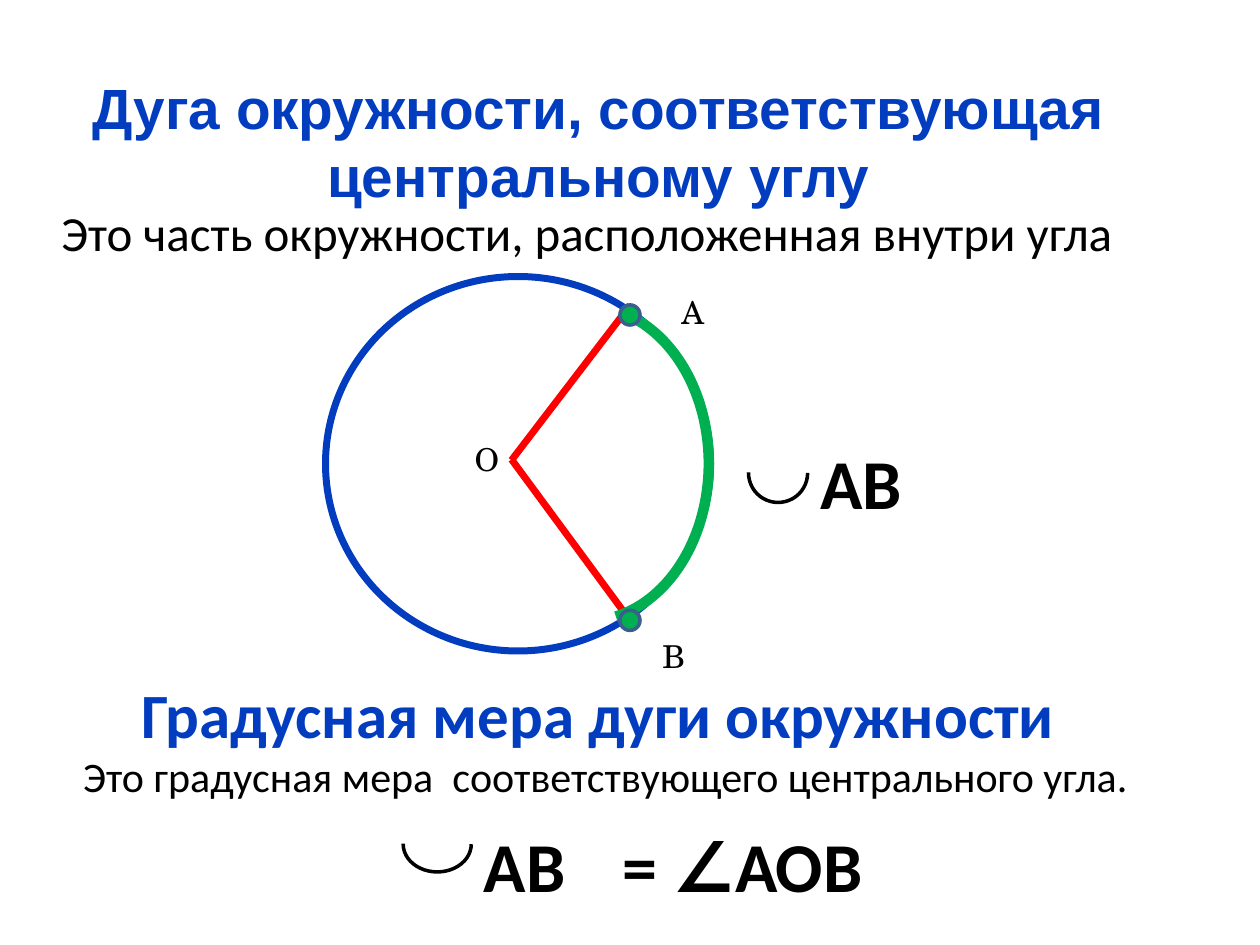
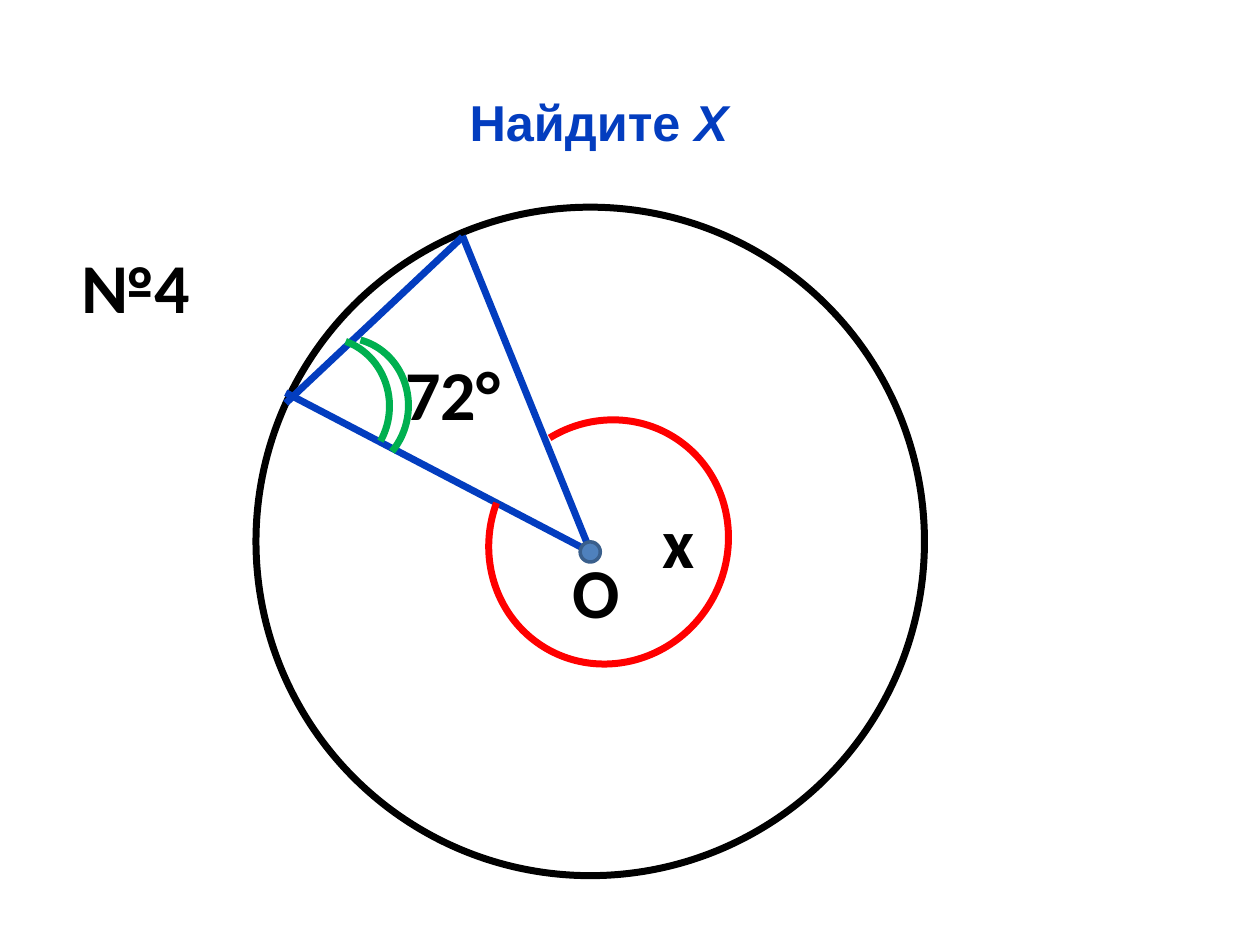
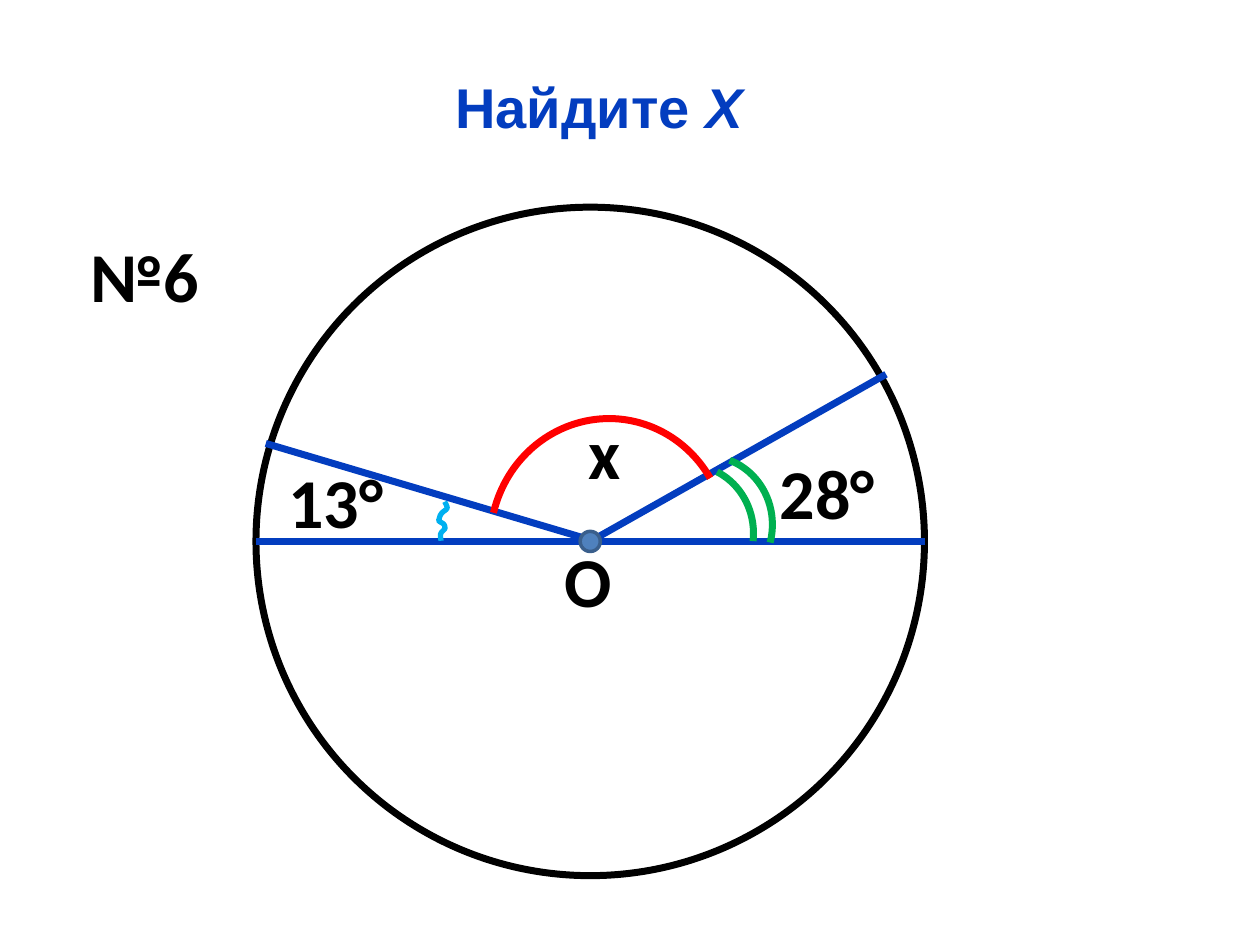
from lxml import etree
from pptx import Presentation
from pptx.dml.color import RGBColor
from pptx.enum.shapes import MSO_CONNECTOR, MSO_SHAPE
from pptx.enum.text import MSO_ANCHOR, PP_ALIGN
from pptx.oxml.ns import qn
from pptx.util import Pt

LINE = MSO_CONNECTOR.STRAIGHT
ARC, OVAL = MSO_SHAPE.ARC, MSO_SHAPE.OVAL
LEFT, CENTER = PP_ALIGN.LEFT, PP_ALIGN.CENTER
TOP, MIDDLE = MSO_ANCHOR.TOP, MSO_ANCHOR.MIDDLE

BLUE, RED, GREEN, SKY = "033DBF", "FF0000", "00B050", "00B0F0"
BLACK, WHITE, DOT, DOT_EDGE = "000000", "FFFFFF", "4F81BD", "3A5F8C"
HEAD, BODY, SERIF = "Arial", "Calibri", "TeX Gyre Schola"


def rgb(color):
    return RGBColor.from_string(color)


def style(r, size, font=BODY, color=BLACK, bold=False, italic=False):
    f = r.font
    f.size, f.name, f.bold, f.italic = Pt(size), font, bold, italic
    f.color.rgb = rgb(color)


def text(s, box, content, size, font=BODY, color=BLACK, bold=False,
         align=LEFT, anchor=TOP):
    tf = s.shapes.add_textbox(*map(Pt, box)).text_frame
    tf.word_wrap = True
    tf.vertical_anchor = anchor
    tf.text = content
    p = tf.paragraphs[0]
    p.alignment = align
    style(p.runs[0], size, font, color, bold)
    return tf


def big(s, x, y, w, content):
    text(s, (x, y, w, 55.4), content, 40, bold=True)


def title(s, box, content, size):
    return text(s, box, content, size, HEAD, BLUE, True, CENTER, MIDDLE)


def outline(sp, color, width, fill=None):
    sp.shadow.inherit = False
    if fill:
        sp.fill.solid()
        sp.fill.fore_color.rgb = rgb(fill)
    else:
        sp.fill.background()
    sp.line.color.rgb = rgb(color)
    sp.line.width = Pt(width)


def oval(s, box, color, width, fill=None):
    outline(s.shapes.add_shape(OVAL, *map(Pt, box)), color, width, fill)


def dot(s, x, y, fill):
    d = 11.5
    oval(s, (x - d / 2, y - d / 2, d, d), DOT_EDGE, 2, fill)


def arc(s, box, turn, start, end, color, width):
    """Arc between two angles in degrees, turned as a whole."""
    sp = s.shapes.add_shape(ARC, *map(Pt, box))
    # An adjustment counts 100000 units, an angle 60000 units a degree
    sp.adjustments[0], sp.adjustments[1] = start * 0.6, end * 0.6
    sp.rotation = turn
    outline(sp, color, width)


def line(s, x1, y1, x2, y2, color):
    c = s.shapes.add_connector(LINE, Pt(x1), Pt(y1), Pt(x2), Pt(y2))
    c.line.color.rgb = rgb(color)
    c.line.width = Pt(4)
    etree.SubElement(c._element.spPr, qn("a:effectLst"))


def wave(s, x, y, start, curves):
    """Wavy angle mark made of cubic curves, drawn in short steps."""
    points, steps = [start], 8
    for curve in curves:
        ends = (points[-1], *curve)
        for i in range(1, steps + 1):
            t = i / steps
            k = ((1 - t) ** 3, 3 * t * (1 - t) ** 2, 3 * t * t * (1 - t), t ** 3)
            points.append(tuple(sum(a * pt[n] for a, pt in zip(k, ends))
                                for n in (0, 1)))
    points = [(Pt(x + px), Pt(y + py)) for px, py in points]
    fb = s.shapes.build_freeform(*points[0])
    fb.add_line_segments(points[1:], close=False)
    outline(fb.convert_to_shape(), SKY, 3)


def central_angle(s, x, y):
    """Circle with the central angle AOB and its arc."""
    oval(s, (x, y, 220, 214), BLUE, 4)
    line(s, x + 174, y + 16.5, x + 106.3, y + 105, RED)
    line(s, x + 106.3, y + 104.5, x + 174, y + 196.5, RED)
    arc(s, (x + 59.5, y + 37.4, 180, 139), 90, 194.26, 349.37, GREEN, 6)
    for dy in (196.5, 22):
        dot(s, x + 174, y + dy, GREEN)
    for label, dx, dy in (("А", 196.3, 5.7), ("В", 185.5, 202.3),
                          ("О", 78.2, 89.9)):
        text(s, (x + dx, y + dy, 36, 29), label, 18, SERIF)


def arc_name(s, x, y, w, h, dx, dy):
    """Arc sign followed by the name of the arc."""
    arc(s, (x, y, w, h), 90, 270, 91, BLACK, 2)
    big(s, x + dx, y + dy, 104, "АВ")


def arc_slide(s):
    title(s, (0, 43.2, 684, 74.2),
          "Дуга окружности, соответствующая центральному углу", 32.4)
    text(s, (28, 112.3, 692, 41),
         "Это часть окружности, расположенная внутри угла", 28)
    tf = text(s, (0, 382.3, 692, 80), "Градусная мера дуги окружности ",
              36, color=BLUE, bold=True, align=CENTER)
    p = tf.add_paragraph()
    p.text = "Это градусная мера  соответствующего центрального угла."
    p.alignment = CENTER
    style(p.runs[0], 24)
    central_angle(s, 186, 158)
    arc_name(s, 427.7, 253.4, 33.8, 33.8, 33.8, -5.8)
    arc_name(s, 234, 463, 31.7, 38.9, 35.3, 3.6)
    big(s, 348.5, 466.6, 174, "= ∠АОВ")


def problem(s, title_box, size, cx, cy, lines, arcs, labels, center_dy):
    """Task slide: every part is placed from the circle's centre."""
    tf = title(s, title_box, "Найдите ", size)
    r = tf.paragraphs[0].add_run()
    r.text = "Х"
    style(r, size, HEAD, BLUE, True, True)
    radius = 191
    oval(s, (cx - radius, cy - radius, 2 * radius, 2 * radius), BLACK, 4, WHITE)
    for x1, y1, x2, y2 in lines:
        line(s, cx + x1, cy + y1, cx + x2, cy + y2, BLUE)
    for dx, dy, w, h, *rest in arcs:
        arc(s, (cx + dx, cy + dy, w, h), *rest, 4)
    for dx, dy, w, label in labels:
        big(s, cx + dx, cy + dy, w, label)
    dot(s, cx, cy + center_dy, DOT)


def main():
    prs = Presentation()
    prs.slide_width, prs.slide_height = Pt(720), Pt(540)
    slides = [prs.slides.add_slide(prs.slide_layouts[6]) for _ in range(3)]
    cx, cy = 337.3, 309.4
    x_arc = (-60.1, -67.4, 141.1, 135.4)
    mark = (78.5, 74.2)

    arc_slide(slides[0])

    # Task 4: isosceles triangle with a base angle of 72°
    problem(
        slides[1], (48.2, 49, 588.2, 41), 28.8, cx, cy,
        lines=[(-73, -174.6, 0, 5.5), (0, 6, -174, -85),
               (-73, -174, -174, -79)],
        arcs=[(*x_arc, 121.8, 118.65, 77.41, RED),
              (-191.1, -114.2, *mark, 92.5, 195.41, 299.31, GREEN),
              (-180.3, -114.2, *mark, 97, 187.36, 305.9, GREEN)],
        labels=[(-17, 0.3, 46, "О"), (-112.7, -112.7, 71.3, "72°"),
                (34.2, -27.8, 50.4, "x"), (-297.7, -174, 101.5, "№4")],
        center_dy=6)

    # Task 6: diameter with two radii
    problem(
        slides[2], (48.2, 37.4, 588.2, 46.8), 32, cx, cy,
        lines=[(191, 0, -191, 0), (169, -95.5, 0, 0), (3, 0, -185.4, -56)],
        arcs=[(*x_arc, 273.1, 281.18, 54.73, RED),
              (27.7, -46.5, *mark, 92.5, 196.52, 283.15, GREEN),
              (16.9, -41.5, *mark, 92.5, 202.3, 274.07, GREEN)],
        labels=[(-21.9, -5.5, 39.6, "О"), (-16.9, -79, 50.4, " x"),
                (101.2, -56, 71.3, "28°"), (-179.6, -50.8, 71.3, "13°"),
                (-292.7, -179.8, 95.8, "№6")],
        center_dy=0)
    wave(slides[2], cx, cy, (-83.1, -22.7), [
        ((-82.4, -21.3), (-81.7, -19.9), (-81.7, -19.1)),
        ((-82.4, -17.7), (-84.6, -17), (-85.3, -15.5)),
        ((-86, -14.8), (-86, -13.4), (-86.7, -11.9)),
        ((-85.3, -10.5), (-83.1, -10.5), (-83.1, -8.3)),
        ((-82.4, -6.9), (-84.6, -6.2), (-85.3, -4.7)),
        ((-86, -3.3), (-85.3, -1.9), (-85.3, -0.4))])

    prs.save("out.pptx")


if __name__ == "__main__":
    main()
